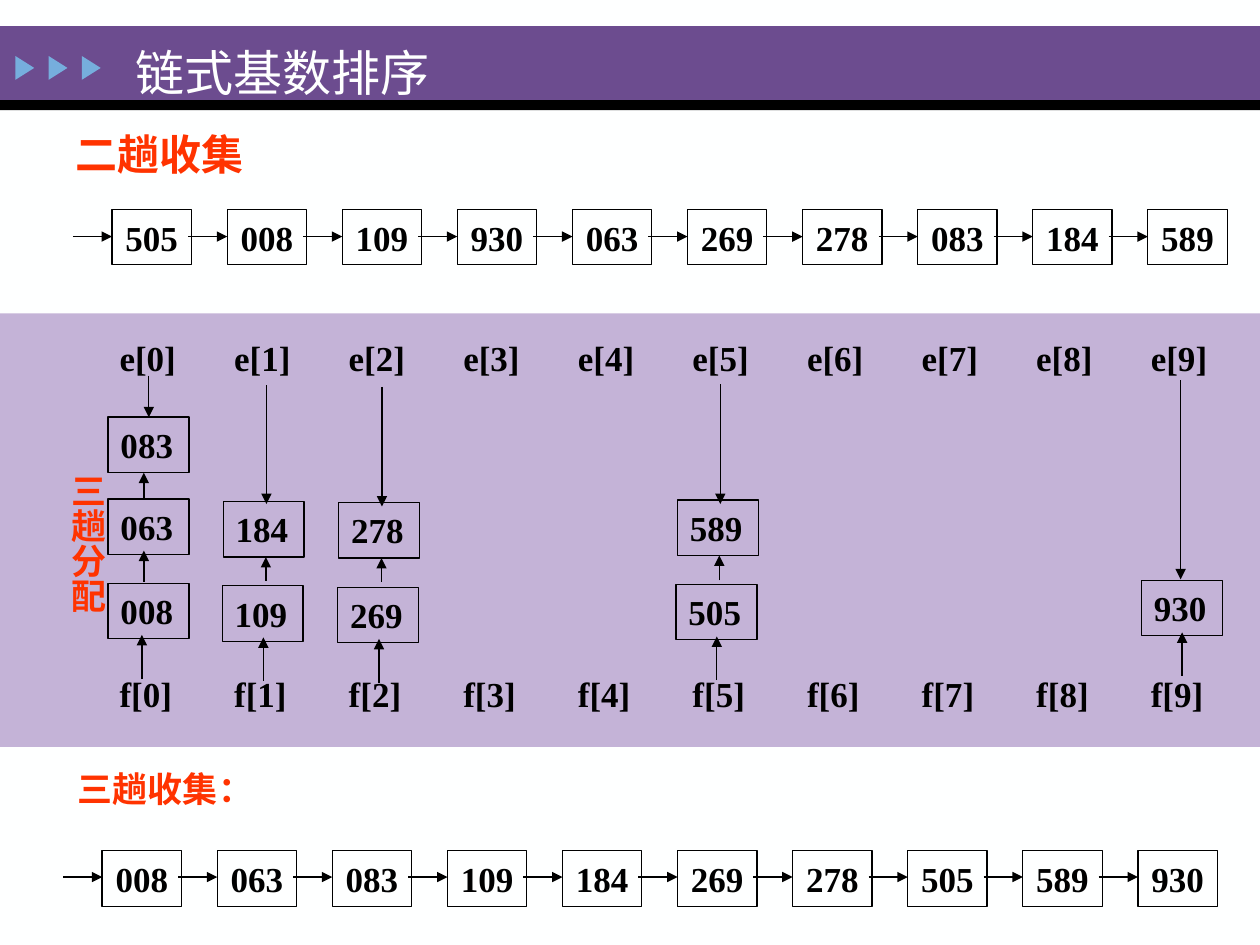
import pptx
import pptx.dml.color
import pptx.enum.shapes
import pptx.enum.text
import pptx.oxml.ns
import pptx.util
from lxml import etree

Cm = pptx.util.Cm
SHAPE = pptx.enum.shapes.MSO_SHAPE
ANCHOR = pptx.enum.text.MSO_ANCHOR
ALIGN = pptx.enum.text.PP_ALIGN
FIT = pptx.enum.text.MSO_AUTO_SIZE
qn = pptx.oxml.ns.qn

FONT = "Times New Roman"
COLORS = {
    "paper": "FEFFFF",
    "ink": "000000",
    "banner": "6C4C8F",
    "marker": "76AEDD",
    "panel": "C4B3D7",
    "heading": "FF3300",
}

# Chains: key order after the second and the third collection
SECOND_PASS = ["505", "008", "109", "930", "063", "269", "278", "083", "184", "589"]
THIRD_PASS = sorted(SECOND_PASS)
CHAIN_PITCH, CELL_W, CELL_H = 2.32, 1.6, 1.12

# Queues (cm): cells are (key, left, top), arrows are (x, from y, to y)
QUEUE_PITCH = 2.31
QUEUE_CELLS = [
    ("083", 2.18, 8.41), ("063", 2.18, 10.06), ("008", 2.18, 11.76),
    ("184", 4.5, 10.11), ("109", 4.48, 11.81),
    ("278", 6.83, 10.13), ("269", 6.81, 11.84),
    ("589", 13.66, 10.08), ("505", 13.63, 11.78),
    ("930", 23.01, 11.7),
]
QUEUE_ARROWS = [
    (3.0, 7.57, 8.41), (2.9, 10.06, 9.53), (2.9, 11.73, 11.1), (2.86, 13.69, 12.8),
    (5.37, 7.77, 10.16), (5.36, 11.71, 11.23), (5.31, 13.72, 12.85),
    (7.7, 7.8, 10.21), (7.69, 11.73, 11.25), (7.64, 13.77, 12.88),
    (14.52, 7.75, 10.16), (14.5, 11.7, 11.2), (14.45, 13.71, 12.83),
    (23.8, 7.67, 11.68), (23.83, 13.62, 12.75),
]


def rgb(name):
    return pptx.dml.color.RGBColor.from_string(COLORS[name])


def set_text(sp, text, size=20, bold=True, color="ink", align=ALIGN.LEFT,
             anchor=ANCHOR.TOP, wrap=False, fit=FIT.NONE, spacing=None):
    tf = sp.text_frame
    tf.word_wrap = wrap
    tf.auto_size = fit
    tf.vertical_anchor = anchor
    p = tf.paragraphs[0]
    p.alignment = align
    if spacing:
        p.line_spacing = spacing
    r = p.add_run()
    r.text = text
    r.font.name = FONT
    r.font.size = pptx.util.Pt(size)
    r.font.bold = bold
    r.font.color.rgb = rgb(color)


def add_block(s, x, y, w, h, fill=None, line=None, kind=SHAPE.RECTANGLE):
    sp = s.shapes.add_shape(kind, Cm(x), Cm(y), Cm(w), Cm(h))
    sp.shadow.inherit = False
    if fill:
        sp.fill.solid()
        sp.fill.fore_color.rgb = rgb(fill)
    else:
        sp.fill.background()
    if line:
        sp.line.color.rgb = rgb(line)
        sp.line.width = pptx.util.Pt(0.75)
    else:
        sp.line.fill.background()
    return sp


def add_label(s, text, x, y, w, h, vertical=False, fit=FIT.SHAPE_TO_FIT_TEXT, **fmt):
    sp = s.shapes.add_textbox(Cm(x), Cm(y), Cm(w), Cm(h))
    set_text(sp, text, fit=fit, **fmt)
    if vertical:
        sp.text_frame._txBody.bodyPr.set("vert", "eaVert")


def add_arrow(s, x1, y1, x2, y2):
    cn = s.shapes.add_connector(pptx.enum.shapes.MSO_CONNECTOR.STRAIGHT,
                                Cm(x1), Cm(y1), Cm(x2), Cm(y2))
    cn.line.color.rgb = rgb("ink")
    cn.line.width = pptx.util.Pt(0.75)
    etree.SubElement(cn.line._get_or_add_ln(), qn("a:tailEnd"), type="triangle")
    etree.SubElement(cn._element.spPr, qn("a:effectLst"))


def add_chain(s, keys, left, top, arrow_y):
    for i, key in enumerate(keys):
        x = left + i * CHAIN_PITCH
        sp = add_block(s, x, top, CELL_W, CELL_H, line="ink")
        set_text(sp, key, align=ALIGN.CENTER, anchor=ANCHOR.MIDDLE)
        add_arrow(s, x - 0.79, arrow_y, x, arrow_y)


def add_queues(s):
    for i in range(10):
        x = 2.16 + i * QUEUE_PITCH
        add_label(s, f"e[{i}]", x, 6.65, 1.65, 1.09)
        add_label(s, f"f[{i}]", x, 13.44, 1.57, 1.09)
    for key, x, y in QUEUE_CELLS:
        sp = add_block(s, x, y, 1.63, CELL_H, line="ink")
        set_text(sp, key, wrap=True)
    for x, y1, y2 in QUEUE_ARROWS:
        add_arrow(s, x, y1, x, y2)


def main():
    prs = pptx.Presentation()
    prs.slide_width, prs.slide_height = Cm(25.4), Cm(19.05)
    s = prs.slides.add_slide(prs.slide_layouts[6])
    s.background.fill.solid()
    s.background.fill.fore_color.rgb = rgb("paper")

    # Title banner
    add_block(s, 0, 0.53, 25.4, 1.5, fill="banner")
    add_block(s, 0, 2.02, 25.4, 0.2, fill="ink")
    for i in range(3):
        sp = add_block(s, 0.26 + i * 0.67, 1.18, 0.48, 0.38, fill="marker",
                       kind=SHAPE.ISOSCELES_TRIANGLE)
        sp.rotation = 90
    add_label(s, "链式基数排序", 2.49, 0.43, 6.5, 1.63, size=28, bold=False,
              color="paper", wrap=True, fit=FIT.NONE, spacing=1.25)

    # Second collection
    add_label(s, "二趟收集", 1.27, 2.46, 3.91, 1.27, size=24, color="heading")
    add_chain(s, SECOND_PASS, 2.26, 4.22, 4.77)

    # Third distribution
    add_block(s, 0, 6.32, 25.4, 8.74, fill="panel")
    add_label(s, "三趟分配", 0.94, 9.3, 1.37, 3.1, vertical=True, color="heading")
    add_queues(s)

    # Third collection
    add_label(s, "三趟收集：", 1.32, 15.34, 4.06, 1.09, color="heading")
    add_chain(s, THIRD_PASS, 2.06, 17.15, 17.68)

    prs.save("out.pptx")


if __name__ == "__main__":
    main()
